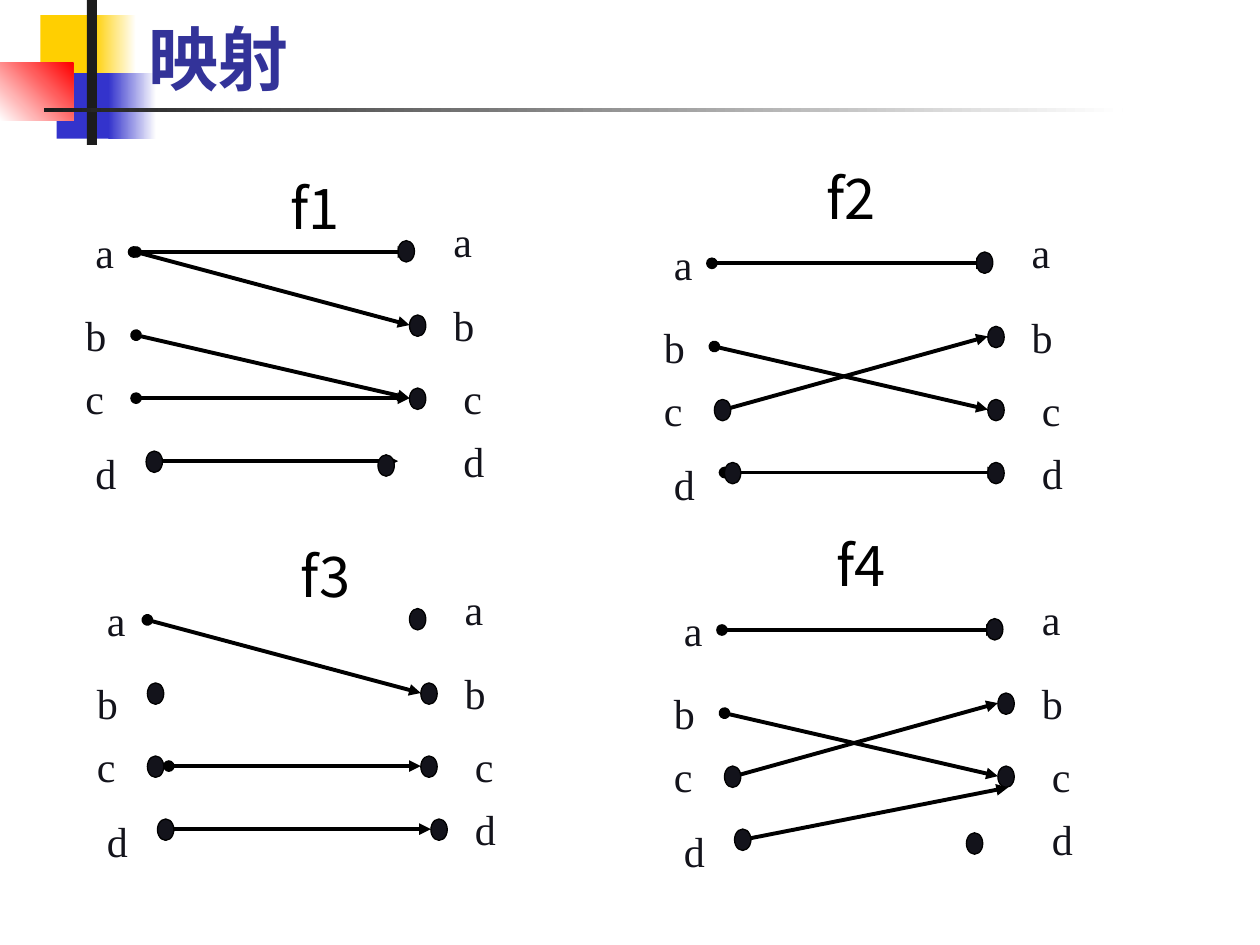
from dataclasses import dataclass

import pptx
import pptx.dml.color
import pptx.enum.shapes
import pptx.enum.text
import pptx.oxml
import pptx.oxml.ns
import pptx.util
from pptx.util import Inches

SHAPES = pptx.enum.shapes.MSO_SHAPE
ANCHOR = pptx.enum.text.MSO_ANCHOR
FIT = pptx.enum.text.MSO_AUTO_SIZE
ALIGN = pptx.enum.text.PP_ALIGN


@dataclass(frozen=True)
class Theme:
    heading: str = "333399"
    caption: str = "000000"
    ink: str = "13131B"
    line: str = "000000"
    bar: str = "1C1C1C"
    yellow: str = "FFCF01"
    blue: str = "3333CC"
    red: str = "FF0000"
    white: str = "FFFFFF"
    sans: str = "Noto Sans CJK SC"
    serif: str = "Times New Roman"
    heading_size: int = 40
    caption_size: int = 32
    label_size: int = 24
    arrow_width: float = 2.25
    dot_width: float = 0.75


THEME = Theme()

# Offsets inside one diagram, in inches from its corner.
LEFT_LABELS = {"a": (0.08, 0.42), "b": (0, 1.08), "c": (0, 1.58), "d": (0.08, 2.17)}
RIGHT_LABELS = {"a": (2.92, 0.33), "b": (2.92, 1), "c": (3, 1.58), "d": (3, 2.08)}
RIGHT_DOTS = [(2.58, 0.58), (2.67, 1.17), (2.67, 1.75)]
LEFT_B, LEFT_C, LEFT_D = (0.5, 1.17), (0.5, 1.75), (0.58, 2.25)
LOW_D = (2.42, 2.28)
A_TO_A = (0.48, 0.67, 2.67, 0.67)
A_TO_B = (0.5, 0.67, 2.67, 1.25)
B_TO_C = (0.5, 1.33, 2.67, 1.83)
C_TO_B = (0.58, 1.83, 2.67, 1.25)

# name, corner, caption offset, extra dots, arrows
DIAGRAMS = [
    ("f1", (0.58, 1.33), (1.63, 0), [LEFT_D, LOW_D],
     [A_TO_A, A_TO_B, B_TO_C, (0.5, 1.83, 2.67, 1.83), (0.67, 2.33, 2.58, 2.33)]),
    ("f2", (5.17, 1.42), (1.29, -0.17), [LEFT_C, LEFT_D, (2.67, 2.25)],
     [A_TO_A, B_TO_C, C_TO_B, (0.58, 2.33, 2.76, 2.33)]),
    ("f3", (0.67, 4.25), (1.62, 0), [LEFT_B, LEFT_C, LEFT_D, (2.75, 2.25)],
     [A_TO_B, (0.67, 1.83, 2.67, 1.83), (0.67, 2.33, 2.75, 2.33)]),
    ("f4", (5.25, 4.33), (1.29, -0.17), [LEFT_C, LEFT_D, LOW_D],
     [A_TO_A, B_TO_C, C_TO_B, (0.67, 2.33, 2.75, 1.92)]),
]


def rgb(value):
    return pptx.dml.color.RGBColor.from_string(value)


def set_all(target, values):
    for name, value in values.items():
        setattr(target, name, value)


def write(box, text, font, size, color, bold=False):
    para = box.text_frame.paragraphs[0]
    para.alignment = ALIGN.LEFT
    span = para.add_run()
    span.text = text
    set_all(span.font, {"name": font, "size": pptx.util.Pt(size), "bold": bold})
    span.font.color.rgb = rgb(color)
    return span


def place_title(page, left, top, width, height):
    title = page.shapes.title
    set_all(title, {"left": Inches(left), "top": Inches(top),
                    "width": Inches(width), "height": Inches(height)})
    set_all(title.text_frame, {"vertical_anchor": ANCHOR.BOTTOM,
                               "auto_size": FIT.NONE, "word_wrap": True})
    span = write(title, "映射", THEME.sans, THEME.heading_size, THEME.heading, True)
    east_asian = pptx.oxml.parse_xml(
        f'<a:ea {pptx.oxml.ns.nsdecls("a")} typeface="{THEME.sans}"/>')
    span.font._element.append(east_asian)


def draw_ornament(page):
    """Coloured blocks and rules, set behind the title."""
    blocks = [
        ((0.32, 0.12, 0.46, 0.52), [THEME.yellow], 0),
        ((0.74, 0.12, 0.34, 0.52), [THEME.yellow, THEME.white], 0),
        ((0.45, 0.58, 0.44, 0.52), [THEME.blue], 0),
        ((0.86, 0.58, 0.38, 0.52), [THEME.blue, THEME.white], 0),
        ((0, 0.5, 0.58, 0.46), [THEME.white, THEME.red], 45),
        ((0.69, 0, 0.08, 1.15), [THEME.bar], 0),
        ((0.35, 0.86, 8.56, 0.03), [THEME.bar, THEME.white], 0),
    ]
    for area, colors, angle in blocks:
        block = page.shapes.add_shape(SHAPES.RECTANGLE, *map(Inches, area))
        block.shadow.inherit = False
        block.line.fill.background()
        if len(colors) == 1:
            block.fill.solid()
            block.fill.fore_color.rgb = rgb(colors[0])
        else:
            block.fill.gradient()
            block.fill.gradient_angle = angle
            for stop, color in zip(block.fill.gradient_stops, colors):
                stop.color.rgb = rgb(color)
        page.shapes.title.element.addprevious(block.element)


def add_text(page, text, area, font, size, color, wrap):
    box = page.shapes.add_textbox(*map(Inches, area))
    set_all(box.text_frame, {"word_wrap": wrap, "auto_size": FIT.SHAPE_TO_FIT_TEXT})
    write(box, text, font, size, color)


def add_dot(page, left, top):
    dot = page.shapes.add_shape(SHAPES.OVAL, Inches(left), Inches(top),
                                Inches(0.13), Inches(0.17))
    dot.shadow.inherit = False
    dot.fill.solid()
    dot.fill.fore_color.rgb = rgb(THEME.ink)
    dot.line.color.rgb = rgb(THEME.line)
    dot.line.width = pptx.util.Pt(THEME.dot_width)


def add_arrow(page, *ends):
    arrow = page.shapes.add_connector(
        pptx.enum.shapes.MSO_CONNECTOR.STRAIGHT, *map(Inches, ends))
    arrow.line.color.rgb = rgb(THEME.line)
    arrow.line.width = pptx.util.Pt(THEME.arrow_width)
    namespace = pptx.oxml.ns.nsdecls("a")
    outline = arrow.line._get_or_add_ln()
    for tag, kind in (("headEnd", "oval"), ("tailEnd", "triangle")):
        outline.append(pptx.oxml.parse_xml(f'<a:{tag} {namespace} type="{kind}"/>'))
    outline.addnext(pptx.oxml.parse_xml(f"<a:effectLst {namespace}/>"))


def draw_diagram(page, name, corner, caption, extra_dots, arrows):
    left, top = corner
    for x1, y1, x2, y2 in arrows:
        add_arrow(page, left + x1, top + y1, left + x2, top + y2)
    for x, y in RIGHT_DOTS + extra_dots:
        add_dot(page, left + x, top + y)
    for labels in (LEFT_LABELS, RIGHT_LABELS):
        for text, (x, y) in labels.items():
            add_text(page, text, (left + x, top + y, 0.33, 0.5),
                     THEME.serif, THEME.label_size, THEME.ink, True)
    add_text(page, name, (left + caption[0], top + caption[1], 0.73, 0.64),
             THEME.sans, THEME.caption_size, THEME.caption, False)


def main():
    deck = pptx.Presentation()
    set_all(deck, {"slide_width": Inches(10), "slide_height": Inches(7.5)})
    page = deck.slides.add_slide(deck.slide_layouts.get_by_name("Title Only"))
    place_title(page, 1.08, 0.17, 8.01, 0.67)
    draw_ornament(page)
    for diagram in DIAGRAMS:
        draw_diagram(page, *diagram)
    deck.save("out.pptx")


if __name__ == "__main__":
    main()
